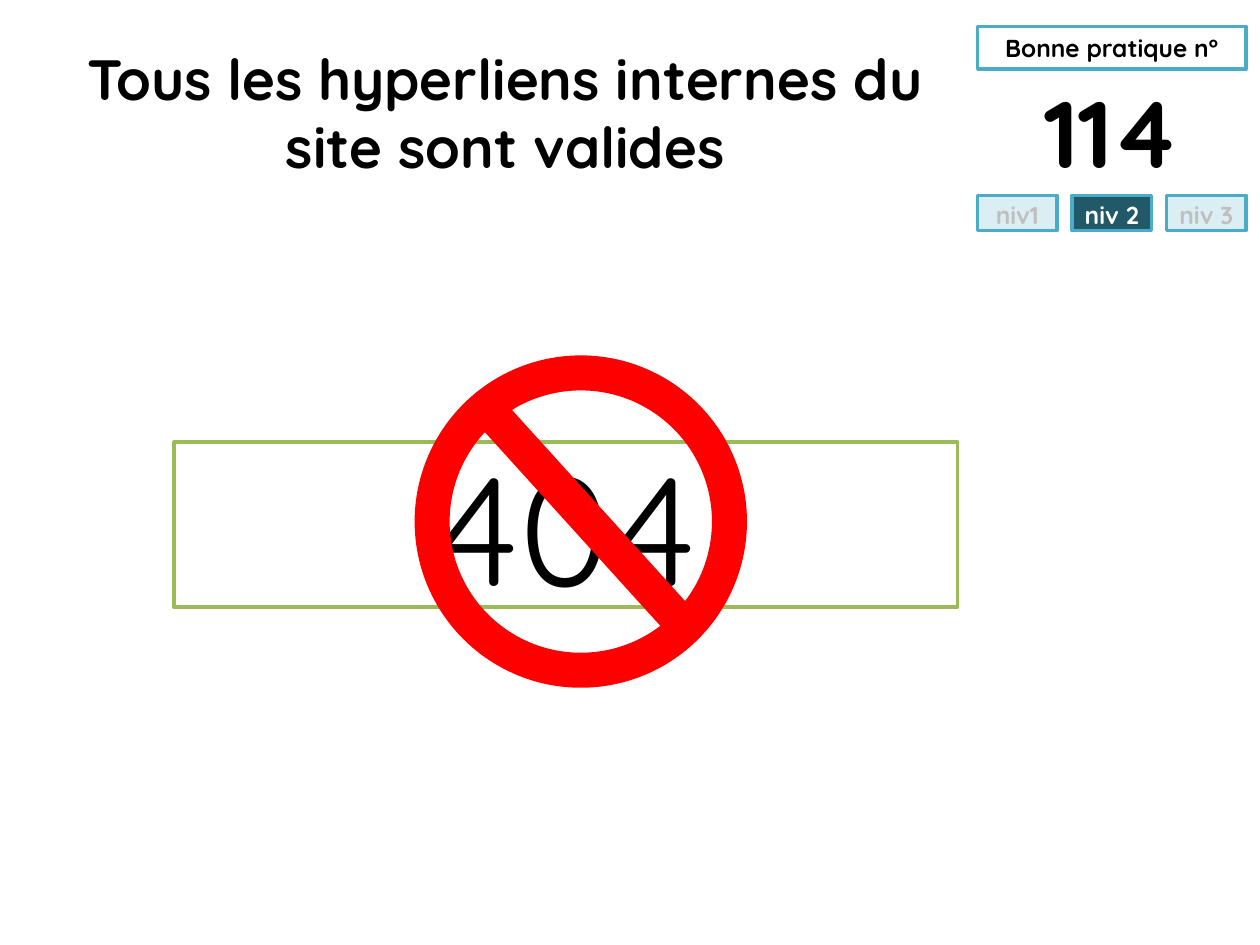
"""Build the good-practice card about valid internal links."""
from dataclasses import dataclass

from lxml import etree
from pptx import Presentation
from pptx.dml.color import RGBColor
from pptx.enum import shapes, text
from pptx.oxml import ns
from pptx.util import Inches, Pt


@dataclass(frozen=True)
class Theme:
    """Colours and type sizes of the card."""
    font: str = "Quicksand"
    white: str = "FFFFFF"
    ink: str = "000000"
    frame: str = "4BACC6"
    level_off: str = "DBEEF4"
    level_on: str = "215968"
    muted: str = "BFBFBF"
    page_frame: str = "9BBB59"
    ban: str = "FF0000"
    label_size: float = 14
    title_size: float = 32.4
    number_size: float = 54
    error_size: float = 88
    frame_width: float = 2
    ban_width: float = 20


THEME = Theme()


def style_text(box, wording, size, color=THEME.ink, bold=True, inset=None,
               anchor=text.MSO_ANCHOR.TOP):
    """Write centred text into a shape."""
    frame = box.text_frame
    frame.word_wrap = True
    frame.vertical_anchor = anchor
    if inset is not None:
        frame.margin_left = frame.margin_right = Inches(inset)
        frame.margin_top = frame.margin_bottom = Inches(inset)
    paragraph = frame.paragraphs[0]
    paragraph.text = wording
    paragraph.alignment = text.PP_ALIGN.CENTER
    font = paragraph.font
    font.name, font.size, font.bold = THEME.font, Pt(size), bold
    font.color.rgb = RGBColor.from_string(color)
    return paragraph


def add_panel(slide, left, top, width, height, fill, line):
    """Add a framed rectangle."""
    panel = slide.shapes.add_shape(shapes.MSO_SHAPE.RECTANGLE, Inches(left),
                                   Inches(top), Inches(width), Inches(height))
    panel.shadow.inherit = False
    panel.fill.solid()
    panel.fill.fore_color.rgb = RGBColor.from_string(fill)
    set_line(panel, line, THEME.frame_width)
    return panel


def add_label(slide, left, top, width, height):
    """Add a plain text box."""
    return slide.shapes.add_textbox(Inches(left), Inches(top),
                                    Inches(width), Inches(height))


def set_line(shape, color, width):
    """Set the colour and width of an outline."""
    shape.line.color.rgb = RGBColor.from_string(color)
    shape.line.width = Pt(width)


def add_title(slide, left, top, width, height):
    """Add the wording of the practice."""
    title = add_label(slide, left, top, width, height)
    wording = "Tous les hyperliens internes du site sont valides"
    style_text(title, wording, THEME.title_size)


def add_practice_card(slide, left, top, width):
    """Add the practice number above its three levels."""
    heading = add_panel(slide, left, top, width, 0.34, THEME.white, THEME.frame)
    style_text(heading, "Bonne pratique n°", THEME.label_size)
    number = add_label(slide, left, top + 0.33, width, 1)
    style_text(number, "114", THEME.number_size)

    level_width = 0.63
    pitch = (width - level_width) / 2
    for index, level in enumerate(("niv1", "niv 2", "niv 3")):
        active = level == "niv 2"
        badge = add_panel(slide, left + index * pitch, top + 1.34, level_width,
                          0.28, THEME.level_on if active else THEME.level_off,
                          THEME.frame)
        style_text(badge, level, THEME.label_size,
                   THEME.white if active else THEME.muted, inset=0.04)


def add_error_page(slide, left, top, width, height):
    """Add the 404 page."""
    page = add_panel(slide, left, top, width, height, THEME.white,
                     THEME.page_frame)
    style_text(page, "404", THEME.error_size, bold=False,
               anchor=text.MSO_ANCHOR.MIDDLE)


def add_ban_sign(slide, left, top, size):
    """Add a grouped ring and slash."""
    sign = slide.shapes.add_group_shape()
    ring = sign.shapes.add_shape(shapes.MSO_SHAPE.OVAL, Inches(left),
                                 Inches(top), Inches(size), Inches(size))
    ring.shadow.inherit = False
    ring.fill.background()
    slash = sign.shapes.add_connector(
        shapes.MSO_CONNECTOR.STRAIGHT, Inches(left + 0.47), Inches(top + 0.32),
        Inches(left + 2.01), Inches(top + 2.02))
    for stroke in (ring, slash):
        set_line(stroke, THEME.ban, THEME.ban_width)
    etree.SubElement(slash._element.spPr, ns.qn("a:effectLst"))


def main():
    """Compose and save the slide."""
    deck = Presentation()
    deck.slide_width, deck.slide_height = Inches(10), Inches(7.5)
    slide = deck.slides.add_slide(deck.slide_layouts[6])
    add_practice_card(slide, 7.76, 0.21, 2.13)
    add_title(slide, 0.5, 0.3, 7.02, 1.25)
    add_error_page(slide, 1.38, 3.51, 6.22, 1.31)
    add_ban_sign(slide, 3.43, 2.96, 2.36)
    deck.save("out.pptx")


if __name__ == "__main__":
    main()
